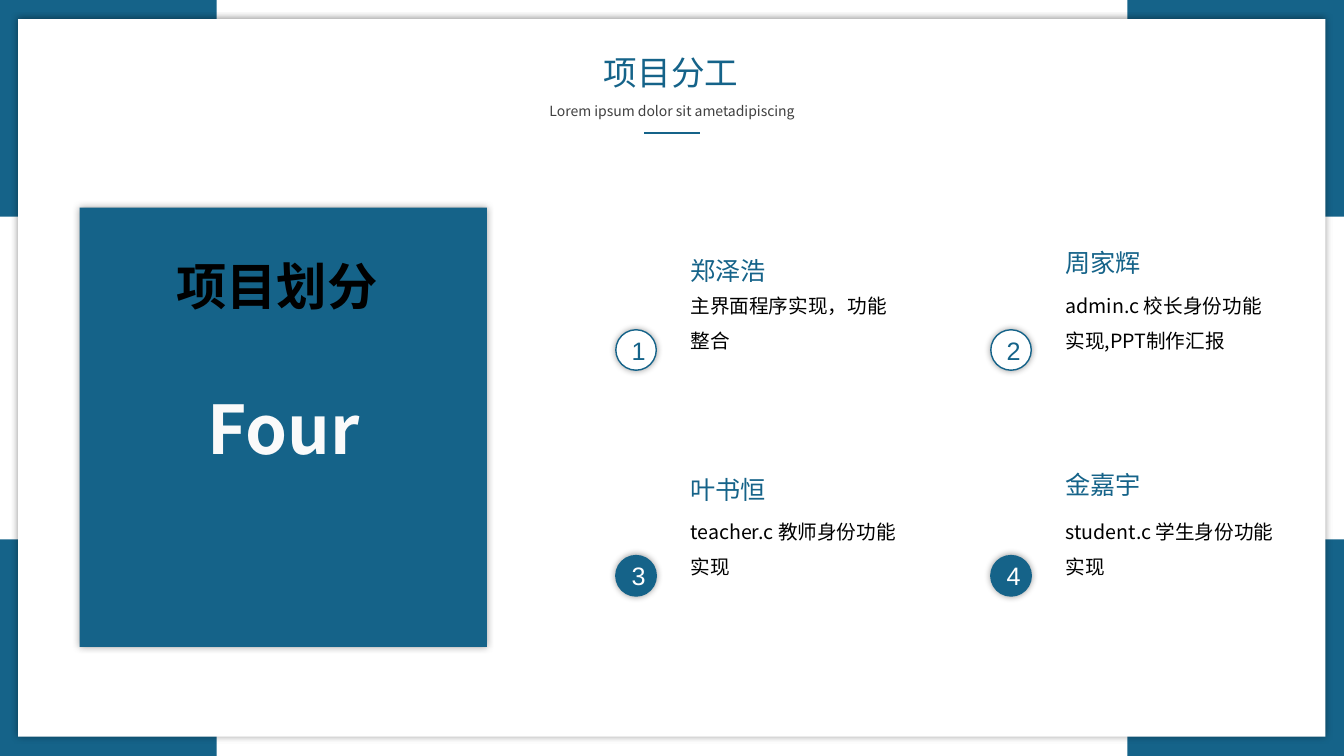
"""Build the project roles slide."""
from itertools import product

from lxml.etree import SubElement
from pptx import Presentation
from pptx.dml.color import RGBColor
from pptx.enum.shapes import MSO_CONNECTOR, MSO_SHAPE
from pptx.enum.text import MSO_ANCHOR, MSO_AUTO_SIZE, PP_ALIGN
from pptx.oxml import parse_xml
from pptx.oxml.ns import nsdecls, qn
from pptx.util import Cm, Pt

COLORS = {
    "blue": "156389",
    "white": "FFFFFF",
    "off_white": "FAFAFA",
    "gray": "404040",
    "black": "000000",
    "outline": "76A9DF",
}
SANS = "Noto Sans CJK SC"
SLIDE_W, SLIDE_H = 33.87, 19.05
CORNER = 5.46
COLUMN_STEP, ROW_STEP = 9.45, 5.69
ROLES = [
    ("郑泽浩", "主界面程序实现，功能整合", 6.3),
    ("周家辉", "admin.c 校长身份功能实现,PPT制作汇报", 6.1),
    ("叶书恒", "teacher.c 教师身份功能实现", 11.84),
    ("金嘉宇", "student.c 学生身份功能实现", 11.71),
]


def rgb(color):
    return RGBColor.from_string(COLORS[color])


def apply(target, values):
    for attribute, value in values.items():
        setattr(target, attribute, value)


def place(shape, box):
    apply(shape, dict(zip(("left", "top", "width", "height"), map(Cm, box))))


def write(shape, text, size, color, face=SANS, bold=False,
          align=PP_ALIGN.LEFT, spacing=None):
    paragraph = shape.text_frame.paragraphs[0]
    apply(paragraph, {"alignment": align, "line_spacing": spacing})
    run = paragraph.add_run()
    run.text = text
    run.font.color.rgb = rgb(color)
    apply(run.font, {"size": Pt(size), "bold": bold, "name": face})
    SubElement(run.font._element, qn("a:ea"), typeface=face)
    return run


def add_label(slide, box, text, size, color, **style):
    label = slide.shapes.add_textbox(*map(Cm, box))
    apply(label.text_frame,
          {"word_wrap": True, "auto_size": MSO_AUTO_SIZE.SHAPE_TO_FIT_TEXT})
    write(label, text, size, color, **style)


def add_panel(slide, kind, box, fill, line=None, glow=True):
    panel = slide.shapes.add_shape(kind, *map(Cm, box))
    panel.fill.solid()
    panel.fill.fore_color.rgb = rgb(fill)
    if line:
        panel.line.color.rgb = rgb(line)
        panel.line.width = Pt(1)
    else:
        panel.line.fill.background()
    panel.shadow.inherit = False
    if glow:
        effects = panel._element.spPr.find(qn("a:effectLst"))
        effects.append(parse_xml(
            f'<a:outerShdw {nsdecls("a")} blurRad="{Pt(5)}" dist="0" dir="0" '
            f'algn="ctr" rotWithShape="0"><a:srgbClr val="{COLORS["black"]}">'
            '<a:alpha val="40000"/></a:srgbClr></a:outerShdw>'))
    panel.text_frame.vertical_anchor = MSO_ANCHOR.MIDDLE
    return panel


def add_frame(slide):
    for top, left in product((SLIDE_H - CORNER, 0), (SLIDE_W - CORNER, 0)):
        add_panel(slide, MSO_SHAPE.RECTANGLE, (left, top, CORNER, CORNER),
                  "blue", glow=False)
    page = add_panel(slide, MSO_SHAPE.ROUNDED_RECTANGLE,
                     (0.46, 0.48, 32.94, 18.08), "white")
    page.adjustments[0] = 0


def add_header(slide):
    title = slide.shapes.title
    title.element.getparent().append(title.element)
    place(title, (13.89, 1.19, 6.05, 1.27))
    apply(title.text_frame, {"vertical_anchor": MSO_ANCHOR.TOP,
                             "auto_size": MSO_AUTO_SIZE.SHAPE_TO_FIT_TEXT})
    write(title, "项目分工", 24, "blue", align=PP_ALIGN.CENTER)
    add_label(slide, (13.44, 2.24, 6.99, 0.89),
              "Lorem ipsum dolor sit ametadipiscing", 10, "gray",
              align=PP_ALIGN.CENTER, spacing=1.5)
    rule = slide.shapes.add_connector(
        MSO_CONNECTOR.STRAIGHT, Cm(16.23), Cm(3.35), Cm(17.63), Cm(3.35))
    rule.line.color.rgb = rgb("blue")
    rule.line.width = Pt(1.75)
    SubElement(rule._element.spPr, qn("a:effectLst"))


def add_section(slide):
    section = add_panel(slide, MSO_SHAPE.RECTANGLE,
                        (2.01, 5.23, 10.26, 11.07), "blue")
    number = write(section, "Four", 48, "off_white", bold=True,
                   align=PP_ALIGN.CENTER)
    number.font._element.insert(0, parse_xml(
        f'<a:ln {nsdecls("a")} w="{Pt(2.25)}"><a:solidFill>'
        f'<a:srgbClr val="{COLORS["outline"]}"/></a:solidFill></a:ln>'))
    add_label(slide, (4.19, 6.3, 5.89, 1.8), "项目划分", 36, "black", bold=True)


def add_role(slide, index, member, duty, member_top):
    row, column = divmod(index, 2)
    across, down = column * COLUMN_STEP, row * ROW_STEP
    fill, ink = ("blue", "white") if row else ("white", "blue")
    badge = add_panel(slide, MSO_SHAPE.OVAL,
                      (15.52 + across, 8.31 + down, 1.02, 1.02), fill, "blue")
    write(badge, str(index + 1), 18, ink, face="Arial", align=PP_ALIGN.CENTER)
    add_label(slide, (17.15 + across, 6.99 + down, 5.79, 2.06), duty, 14,
              "black", spacing=1.5)
    add_label(slide, (17.15 + across, member_top, 5.18, 1.02), member, 18,
              "blue")


def main():
    deck = Presentation()
    apply(deck, {"slide_width": Cm(SLIDE_W), "slide_height": Cm(SLIDE_H)})
    slide = deck.slides.add_slide(deck.slide_layouts[5])
    add_frame(slide)
    add_header(slide)
    add_section(slide)
    for index, role in enumerate(ROLES):
        add_role(slide, index, *role)
    deck.save("out.pptx")


if __name__ == "__main__":
    main()
